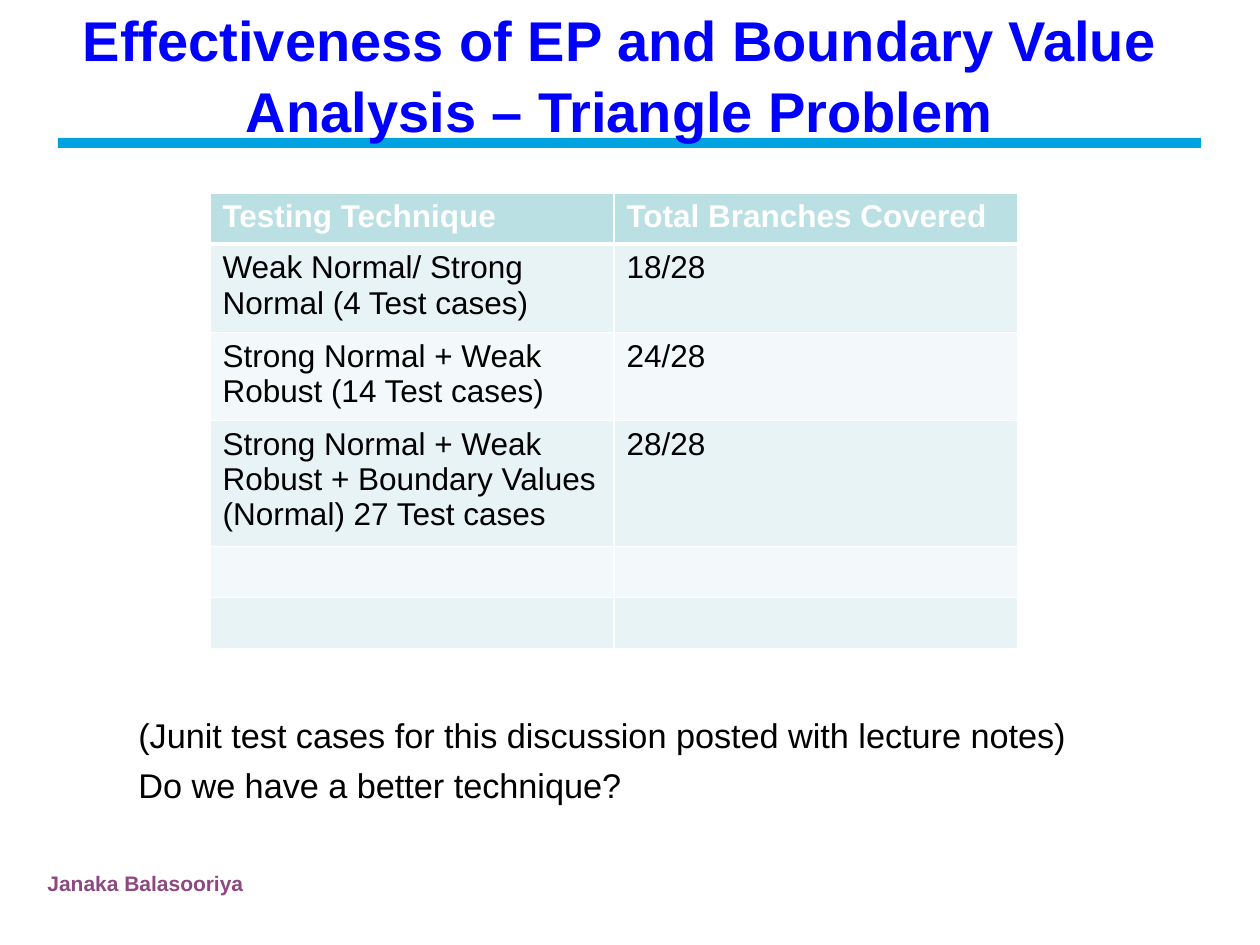
from lxml.etree import SubElement
from pptx import Presentation
from pptx.dml.color import RGBColor
from pptx.enum.shapes import MSO_SHAPE
from pptx.enum.text import MSO_ANCHOR, PP_ALIGN
from pptx.oxml.ns import qn
from pptx.util import Pt

PX = 914400 // 126
FONT = "Arial"
WHITE = RGBColor(0xFF, 0xFF, 0xFF)
BLACK = RGBColor(0x00, 0x00, 0x00)
TITLE_BLUE = RGBColor(0x00, 0x00, 0xFF)
RULE_BLUE = RGBColor(0x00, 0xA2, 0xE0)
PURPLE = RGBColor(0x8C, 0x48, 0x81)
HEADER_TEAL = RGBColor(0xBB, 0xE0, 0xE3)
BANDS = [RGBColor(0xF3, 0xF9, 0xFA), RGBColor(0xE7, 0xF3, 0xF4)]

ROWS = [
    ("Testing Technique", "Total Branches Covered"),
    ("Weak Normal/ Strong Normal (4 Test cases)", "18/28"),
    ("Strong Normal + Weak Robust (14 Test cases)", "24/28"),
    ("Strong Normal + Weak Robust + Boundary Values (Normal) 27 Test cases", "28/28"),
    ("", ""),
    ("", ""),
]
ROW_HEIGHTS = [51, 83, 83, 118, 51, 51]


def emu(box):
    return [length * PX for length in box]


def style(font, size, color, bold=False):
    font.name = FONT
    font.size = Pt(size)
    font.bold = bold
    font.color.rgb = color


def add_text(page, box, lines, size, color, bold=False):
    frame = page.shapes.add_textbox(*emu(box)).text_frame
    frame.word_wrap = True
    frame.text = "\n".join(lines)
    for para in frame.paragraphs:
        for span in para.runs:
            style(span.font, size, color, bold)
    return frame


def add_title(page, box):
    frame = add_text(
        page, box,
        ["Effectiveness of EP and Boundary Value Analysis – Triangle Problem"],
        32, TITLE_BLUE, bold=True)
    frame.vertical_anchor = MSO_ANCHOR.MIDDLE
    frame.margin_top = 0
    frame.margin_bottom = 64 * PX
    para = frame.paragraphs[0]
    para.alignment = PP_ALIGN.CENTER
    para.line_spacing = 1.05


def add_rule(page, box):
    rule = page.shapes.add_shape(MSO_SHAPE.RECTANGLE, *emu(box))
    rule.shadow.inherit = False
    rule.fill.solid()
    rule.fill.fore_color.rgb = RULE_BLUE
    rule.line.fill.background()


def add_borders(cell, bottom_width, top_width):
    """Draw white cell borders; they must precede the fill in the cell XML."""
    properties = cell._tc.get_or_add_tcPr()
    widths = {"a:lnL": 1, "a:lnR": 1, "a:lnT": top_width, "a:lnB": bottom_width}
    for side, width in widths.items():
        line = SubElement(properties, qn(side), w=str(Pt(width)))
        fill = SubElement(line, qn("a:solidFill"))
        SubElement(fill, qn("a:srgbClr"), val=str(WHITE))


def add_coverage_table(page, box):
    table = page.shapes.add_table(len(ROWS), len(ROWS[0]), *emu(box)).table
    for column in table.columns:
        column.width = box[2] * PX // len(ROWS[0])
    for index, (texts, height) in enumerate(zip(ROWS, ROW_HEIGHTS)):
        header = index == 0
        table.rows[index].height = height * PX
        for cell, text in zip(table.rows[index].cells, texts):
            add_borders(cell, 3 if header else 1, 3 if index == 1 else 1)
            cell.fill.solid()
            cell.fill.fore_color.rgb = HEADER_TEAL if header else BANDS[index % 2]
            para = cell.text_frame.paragraphs[0]
            para.text = text
            for span in para.runs:
                style(span.font, 18, WHITE if header else BLACK, header)


def add_remarks(page, box):
    frame = add_text(
        page, box,
        ["(Junit test cases for this discussion posted with lecture notes)",
         "Do we have a better technique?"],
        19.6, BLACK)
    frame.margin_top = 11 * PX
    frame.paragraphs[1].space_before = Pt(5)


def main():
    deck = Presentation()
    deck.slide_width, deck.slide_height = emu((1260, 945))
    page = deck.slides.add_slide(deck.slide_layouts[6])
    add_text(page, (35, 864, 320, 38), ["Janaka Balasooriya"], 12, PURPLE, bold=True)
    add_rule(page, (58, 138, 1143, 10))
    add_title(page, (53, 45, 1134, 120))
    add_remarks(page, (126, 703, 1134, 95))
    add_coverage_table(page, (210, 193, 808, sum(ROW_HEIGHTS)))
    deck.save("out.pptx")


if __name__ == "__main__":
    main()
